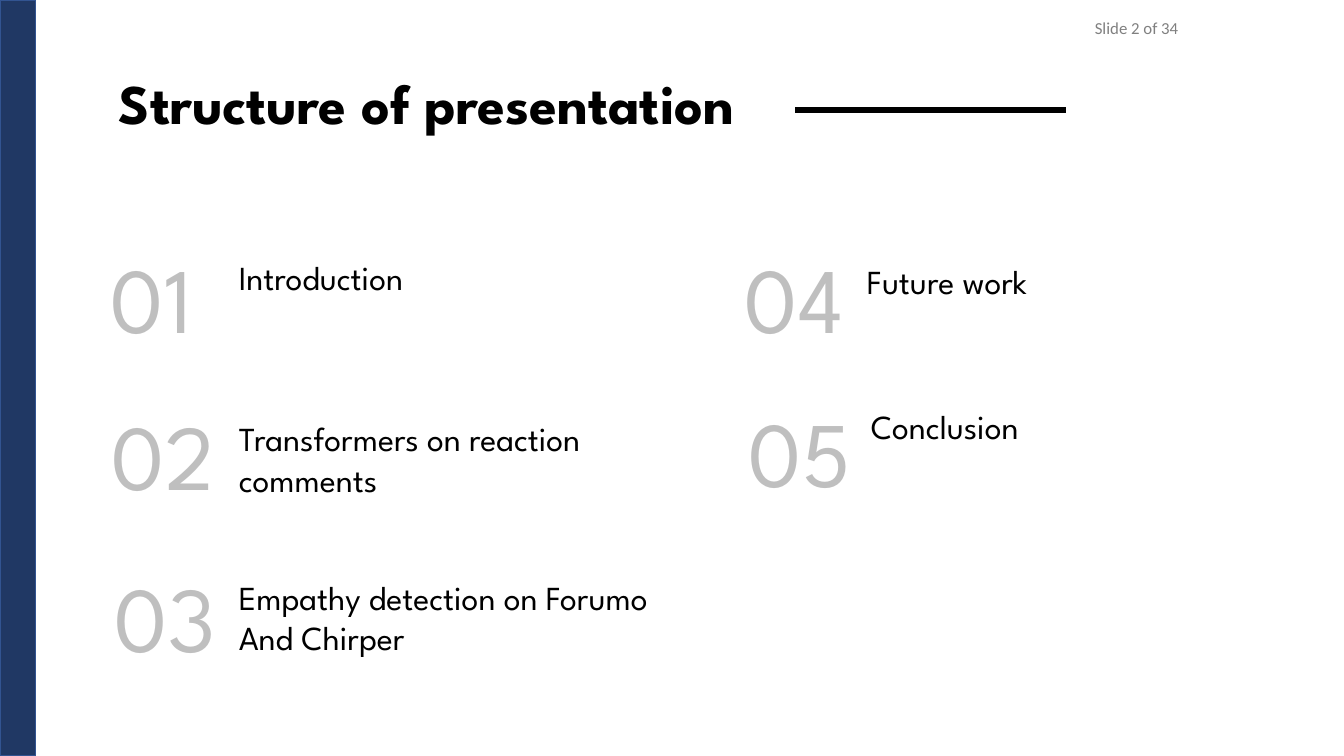
import pptx
import pptx.util
import pptx.dml.color
import pptx.enum.shapes
import pptx.enum.text
from lxml import etree

Inches, Pt = pptx.util.Inches, pptx.util.Pt
RGB = pptx.dml.color.RGBColor
BLACK = RGB(0x00, 0x00, 0x00)
SILVER = RGB(0xBF, 0xBF, 0xBF)
GREY = RGB(0x80, 0x80, 0x80)
NAVY = RGB(0x20, 0x38, 0x64)
EDGE = RGB(0x32, 0x54, 0x91)
HEAD_FONT, NOTE_FONT = "League Spartan", "Calibri"

WIDE, HIGH = 13.33, 7.5
TITLE = "Structure of presentation"
COUNT = "Slide 2 of 34"

# Columns of topics: number left, label left, then for each topic
# its lines, number nudge (x, y), label nudge (x, y), line spacing
COLUMNS = [
    (1, 2.27, [
        (["Introduction"], (0, 0), (0, 0), 1),
        (["Transformers on reaction", "comments"], (0.01, -0.02), (0, 0.02), 1),
        (["Empathy detection on Forumo", "And Chirper"], (0.04, 0.01), (0, 0.01), 1),
    ]),
    (7.29, 8.5, [
        (["Future work"], (0, 0), (0, 0.08), 0.9),
        (["Conclusion"], (0.04, -0.05), (0.04, -0.1), 1),
    ]),
]
NUM_TOP, LABEL_TOP, PITCH = 2.34, 2.5, 1.58

deck = pptx.Presentation()
deck.slide_width, deck.slide_height = Inches(WIDE), Inches(HIGH)
slide = deck.slides.add_slide(deck.slide_layouts[6])
shapes = slide.shapes


def add_text(lines, box, size, color, font=HEAD_FONT, bold=False, space=1):
    frame = shapes.add_textbox(*map(Inches, box)).text_frame
    frame.word_wrap = True
    for i, line in enumerate(lines):
        para = frame.paragraphs[0] if i == 0 else frame.add_paragraph()
        para.line_spacing = space
        run = para.add_run()
        run.text = line
        run.font.name, run.font.size = font, Pt(size)
        run.font.bold = bold
        run.font.color.rgb = color
    return frame


title = add_text([TITLE], (1.08, 0.71, 9.65, 0.69), 40, BLACK, bold=True, space=0.9)
title.vertical_anchor = pptx.enum.text.MSO_ANCHOR.MIDDLE

band = shapes.add_shape(pptx.enum.shapes.MSO_SHAPE.RECTANGLE,
                        0, 0, Inches(0.35), Inches(HIGH))
band.shadow.inherit = False
band.fill.solid()
band.fill.fore_color.rgb = NAVY
band.line.color.rgb = EDGE
band.line.width = Pt(1)

rule = shapes.add_connector(pptx.enum.shapes.MSO_CONNECTOR.STRAIGHT,
                            *map(Inches, (7.89, 1.09, 10.57, 1.09)))
rule.line.color.rgb = BLACK
rule.line.width = Pt(4.5)
etree.SubElement(rule._element.spPr, pptx.oxml.ns.qn("a:effectLst"))

number = 0
for num_left, label_left, topics in COLUMNS:
    for row, (lines, num_off, label_off, space) in enumerate(topics):
        number += 1
        drop = row * PITCH
        add_text([f"{number:02}"],
                 (num_left + num_off[0], NUM_TOP + drop + num_off[1], 1.39, 1.21),
                 66, SILVER)
        label = add_text(lines,
                         (label_left + label_off[0], LABEL_TOP + drop + label_off[1],
                          4.7, 0.1 + 0.41 * len(lines)),
                         24, BLACK, space=space)

add_text([COUNT], (10.76, 0.13, 2.18, 0.3), 12, GREY, NOTE_FONT)

deck.save("out.pptx")
